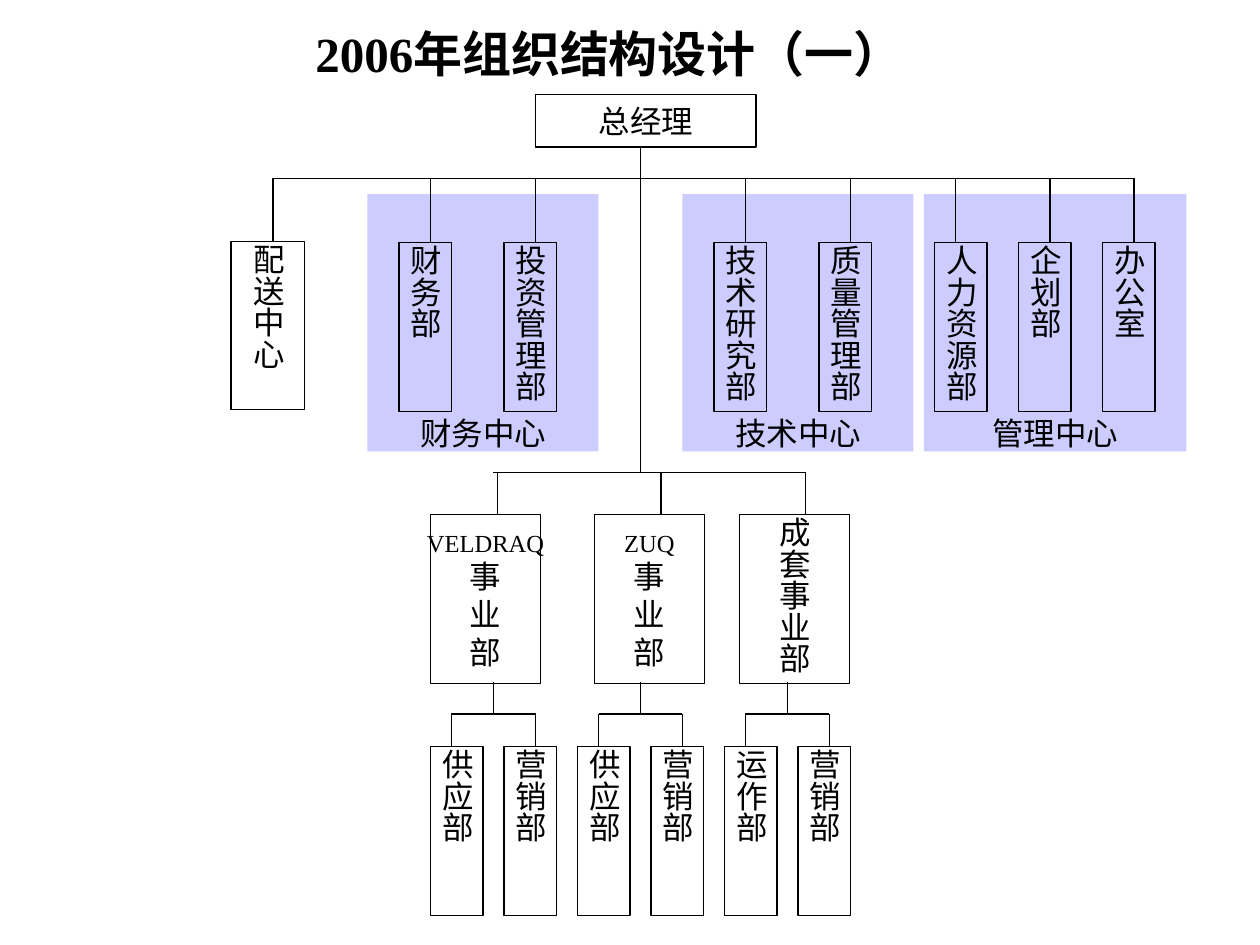
from pptx import Presentation
from pptx.dml.color import RGBColor
from pptx.enum.shapes import MSO_CONNECTOR, MSO_SHAPE
from pptx.enum.text import MSO_ANCHOR, MSO_AUTO_SIZE, PP_ALIGN
from pptx.oxml.ns import qn
from pptx.util import Inches, Pt

RECT = MSO_SHAPE.RECTANGLE
STRAIGHT = MSO_CONNECTOR.STRAIGHT
MIDDLE, BOTTOM = MSO_ANCHOR.MIDDLE, MSO_ANCHOR.BOTTOM
CENTER = PP_ALIGN.CENTER
FIXED = MSO_AUTO_SIZE.NONE
BLACK = RGBColor(0x00, 0x00, 0x00)
LILAC = RGBColor(0xCC, 0xCC, 0xFF)
FACE = "Times New Roman"
THIN = Pt(0.75)

FLAT = {"margin_left": Inches(0.1), "margin_right": Inches(0.1),
        "margin_top": Inches(0.05), "margin_bottom": Inches(0.05),
        "vertical_anchor": MIDDLE, "auto_size": FIXED, "word_wrap": False}
TALL = {**FLAT, "margin_left": Inches(0.05), "margin_right": Inches(0.05),
        "margin_top": Inches(0.02), "margin_bottom": Inches(0.02),
        "word_wrap": True}
LABEL = {**FLAT, "vertical_anchor": BOTTOM, "margin_bottom": 0}

ZONES = [("财务中心", 35, 22), ("技术中心", 65, 22), ("管理中心", 88, 25)]
DEPTS = [("财务部", 38, 41), ("投资管理部", 48, 51), ("技术研究部", 68, 71),
         ("质量管理部", 78, 81), ("人力资源部", 89, 91), ("企划部", 97, 100),
         ("办公室", 105, 108)]
UNITS = [(["VELDRAQ", "事", "业", "部"], 41), (["ZUQ", "事", "业", "部"], 56.6),
         (["成套事业部"], 70.4)]
TEAMS = [("供应部", "营销部"), ("供应部", "营销部"), ("运作部", "营销部")]


def grid(*cells):
    """Turn grid cells, twelve to the inch, into lengths."""
    return [Inches(cell / 12) for cell in cells]


def apply(item, values):
    """Set each named attribute of an item."""
    for name, value in values.items():
        setattr(item, name, value)


def write(shape, lines, frame, size=18, bold=False):
    """Fill a shape with centred lines; Latin names in lists are smaller."""
    body = shape.text_frame
    apply(body, frame)
    if frame is TALL:
        body._txBody.bodyPr.set("vert", "eaVert")
    for i, line in enumerate(lines):
        para = body.add_paragraph() if i else body.paragraphs[0]
        para.alignment = CENTER
        run = para.add_run()
        run.text = line
        points = 14 if line.isascii() else size
        apply(run.font, {"name": FACE, "size": Pt(points), "bold": bold})
        run.font.color.rgb = BLACK


def box(slide, place, lines, frame=TALL, fill=None):
    """Draw an outlined box, or a filled zone without an outline."""
    shape = slide.shapes.add_shape(RECT, *grid(*place))
    shape.shadow.inherit = False
    if fill is None:
        shape.fill.background()
        shape.line.color.rgb = BLACK
        shape.line.width = THIN
    else:
        shape.fill.solid()
        shape.fill.fore_color.rgb = fill
        shape.line.fill.background()
    write(shape, lines, frame)


def link(slide, *ends):
    """Draw a thin line between two grid points."""
    line = slide.shapes.add_connector(STRAIGHT, *grid(*ends))
    line.line.color.rgb = BLACK
    line.line.width = THIN
    props = line._element.spPr
    props.append(props.makeelement(qn("a:effectLst"), {}))


def head(slide):
    """Place the title, the top box and the trunk."""
    title = slide.shapes.title
    left, top, width, height = grid(7, 3, 102, 4)
    apply(title, {"left": left, "top": top, "width": width, "height": height})
    write(title, ["2006年组织结构设计（一）"], {**FLAT, "word_wrap": True}, 28, True)
    box(slide, (51, 9, 21, 5), ["总经理"], FLAT)
    link(slide, 61, 14, 61, 45)


def staff(slide):
    """Draw the centres and their departments."""
    for name, left, width in ZONES:
        box(slide, (left, 18.5, width, 24.5), [name], LABEL, LILAC)
    link(slide, 26, 17, 108, 17)
    box(slide, (22, 23, 7, 16), ["配送中心"])
    link(slide, 26, 17, 26, 23)
    for name, left, drop in DEPTS:
        box(slide, (left, 23.1, 5, 16.1), [name])
        link(slide, drop, 17, drop, 23.1)


def units(slide):
    """Draw the business units."""
    link(slide, 47, 45, 76.8, 45)
    for lines, left in UNITS:
        drop = left + 6.35
        link(slide, drop, 45, drop, 49)
        box(slide, (left, 49, 10.5, 16.1), lines, FLAT if lines[1:] else TALL)


def teams(slide):
    """Draw the pair of teams under each unit."""
    for i, pair in enumerate(TEAMS):
        stem = 47 + 14 * i
        link(slide, stem, 65, stem, 68)
        link(slide, stem - 4, 68, stem + 4, 68)
        for j, name in enumerate(pair):
            drop = stem - 4 + 8 * j
            link(slide, drop, 68, drop, 71.1)
            box(slide, (stem - 6 + 7 * j, 71.1, 5, 16.1), [name])


def main():
    """Build and save the chart."""
    deck = Presentation()
    deck.slide_width, deck.slide_height = grid(120, 90)
    slide = deck.slides.add_slide(deck.slide_layouts[5])
    for part in (head, staff, units, teams):
        part(slide)
    deck.save("out.pptx")


if __name__ == "__main__":
    main()
